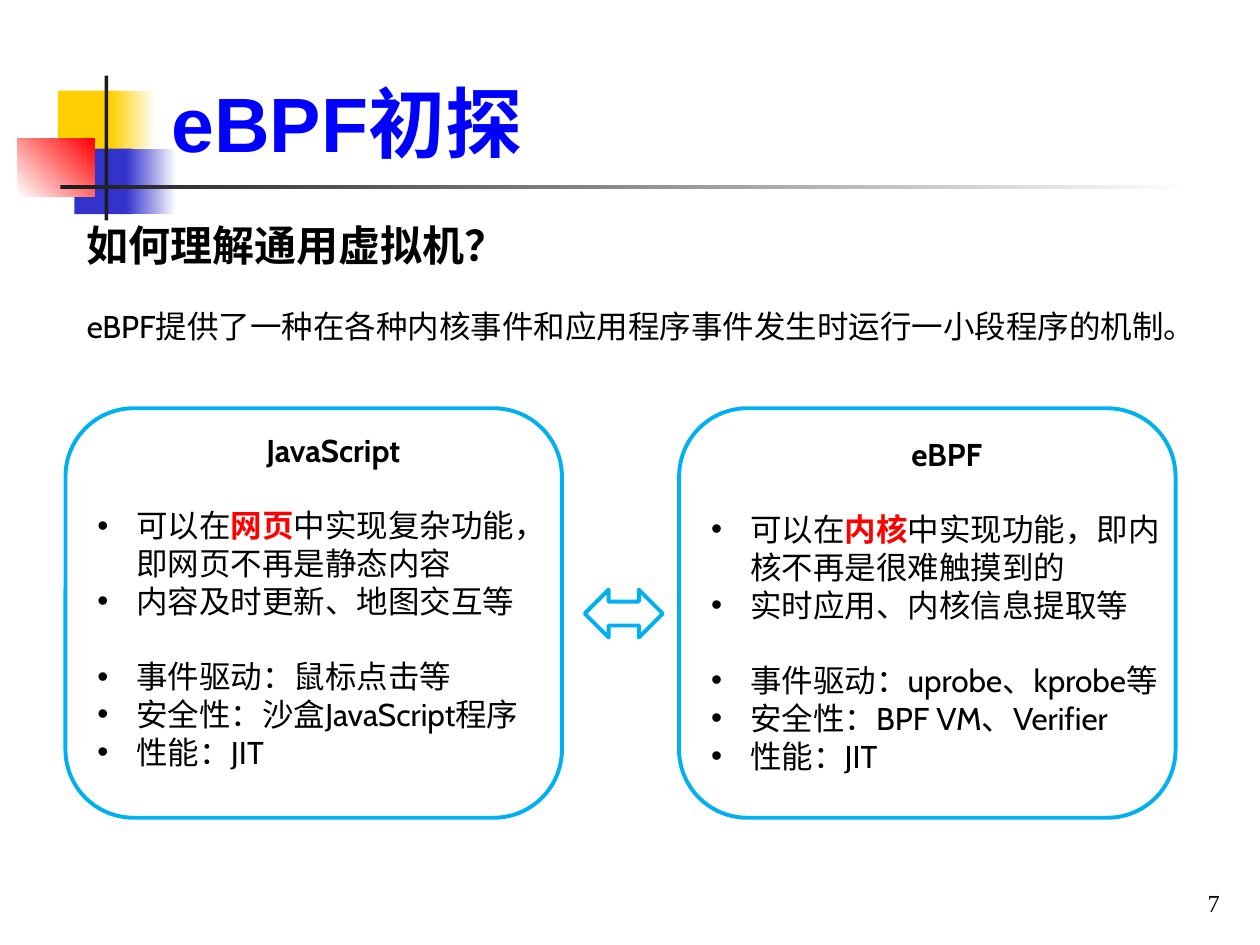
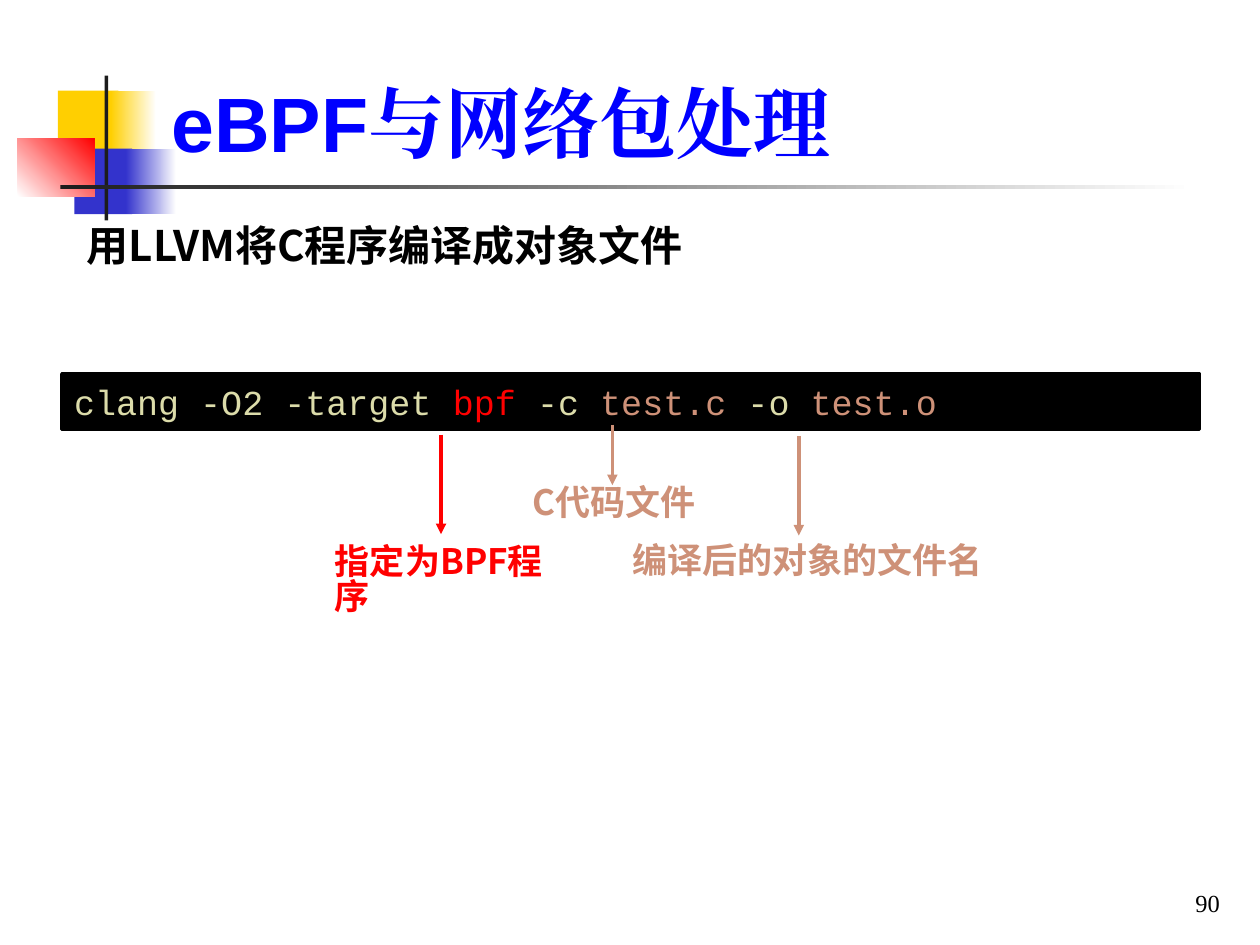
"""Builds two eBPF lecture slides on a shared title-only layout."""
from dataclasses import dataclass

from pptx import Presentation
from pptx.dml.color import RGBColor
from pptx.enum.shapes import MSO_CONNECTOR, MSO_SHAPE
from pptx.enum.text import MSO_ANCHOR, MSO_AUTO_SIZE, PP_ALIGN
from pptx.oxml.ns import qn
from pptx.oxml.xmlchemy import OxmlElement
from pptx.util import Emu, Inches, Pt

RECT, ROUNDED = MSO_SHAPE.RECTANGLE, MSO_SHAPE.ROUNDED_RECTANGLE
DOUBLE_ARROW, STRAIGHT = MSO_SHAPE.LEFT_RIGHT_ARROW, MSO_CONNECTOR.STRAIGHT
TOP, BOTTOM = MSO_ANCHOR.TOP, MSO_ANCHOR.BOTTOM
LEFT, CENTER, RIGHT = PP_ALIGN.LEFT, PP_ALIGN.CENTER, PP_ALIGN.RIGHT
NO_AUTOFIT = MSO_AUTO_SIZE.NONE
COLUMNS, ROWS = 100, 75
CELL = Inches(10) // COLUMNS


@dataclass(frozen=True)
class Style:
    """Font, size, colour and weight of a span."""
    font: str
    size: int
    color: str
    bold: bool = False


@dataclass(frozen=True)
class Theme:
    """Colours and type sizes of the deck."""
    black: str = "000000"
    white: str = "FFFFFF"
    yellow: str = "FFCF01"
    indigo: str = "3333CC"
    red: str = "FF0000"
    ink: str = "1C1C1C"
    sky: str = "00B0F0"
    title: Style = Style("Arial", 44, "0000FF", True)
    title_cjk: Style = Style("Times New Roman", 44, "0000FF", True)
    heading: Style = Style("Noto Sans CJK SC", 24, "000000", True)
    body: Style = Style("Cabin", 18, "000000")
    strong: Style = Style("Cabin", 18, "000000", True)
    accent: Style = Style("Cabin", 18, "FF0000", True)
    number: Style = Style("Times New Roman", 14, "000000")
    command: Style = Style("Courier New", 20, "DCDCAA")
    target: Style = Style("Courier New", 20, "FF0000")
    file: Style = Style("Courier New", 20, "CE9178")
    target_note: Style = Style("Noto Sans CJK SC", 20, "FF0000", True)
    file_note: Style = Style("Noto Sans CJK SC", 20, "CE9178", True)
    outline: float = 2.25
    stroke: float = 2
    card_gap: float = 21.5
    cjk_spacing: float = 0.83


THEME = Theme()

ORNAMENT = [
    ((4.6, 7.2, 4.8, 5.2), (THEME.yellow,), 0),
    ((8.8, 7.2, 3.6, 5.2), (THEME.yellow, THEME.white), 0),
    ((5.9, 11.8, 4.6, 5.2), (THEME.indigo,), 0),
    ((10, 11.8, 4, 5.2), (THEME.indigo, THEME.white), 0),
    ((1.4, 11, 6.1, 4.6), (THEME.white, THEME.red), 45),
    ((8.3, 6, 0.3, 11.5), (THEME.ink,), 0),
    ((4.8, 14.7, 90, 0.3), (THEME.ink, THEME.white), 0),
]
TITLE_AREA = (12.6, 2.3, 85.2, 11.5)
NUMBER_AREA = (77, 68.3, 20.8, 5)
HEADING_AREA = (5.9, 17.3, 75, 5)
INTRO_AREA = (5.9, 23.9, 91.9, 4)

INTRO = {
    "title": [("eBPF初探", THEME.title)],
    "heading": "如何理解通用虚拟机？",
    "number": "7",
    "lead": "eBPF提供了一种在各种内核事件和应用程序事件发生时运行一小段程序的机制。",
}
CARDS = [
    {"name": "JavaScript", "text_top": 33.7, "groups": [
        [[("可以在", THEME.body), ("网页", THEME.accent),
          ("中实现复杂功能，即网页不再是静态内容", THEME.body)],
         [("内容及时更新、地图交互等", THEME.body)]],
        [[("事件驱动：鼠标点击等", THEME.body)],
         [("安全性：沙盒JavaScript程序", THEME.body)],
         [("性能：JIT", THEME.body)]]]},
    {"name": "eBPF", "text_top": 34, "groups": [
        [[("可以在", THEME.body), ("内核", THEME.accent),
          ("中实现功能，即内核不再是很难触摸到的", THEME.body)],
         [("实时应用、内核信息提取等", THEME.body)]],
        [[("事件驱动：uprobe、kprobe等", THEME.body)],
         [("安全性：BPF VM、Verifier", THEME.body)],
         [("性能：JIT", THEME.body)]]]},
]
CARD_LEFT, CARD_TOP, CARD_STEP = 5.2, 32.4, 48.7
CARD_WIDTH, CARD_HEIGHT, CARD_INSET = 39.4, 32.5, 1.55
SWAP_AREA = (46.4, 46.8, 6.2, 3.8)

COMPILE = {
    "title": [("eBPF", THEME.title), ("与网络包处理", THEME.title_cjk)],
    "heading": "用LLVM将C程序编译成对象文件",
    "number": "90",
}
COMMAND_AREA = (4.9, 29.7, 90.3, 4.4)
COMMAND = [
    ("clang -O2 -target ", THEME.command), ("bpf", THEME.target),
    (" -c ", THEME.command), ("test.c", THEME.file),
    (" -o ", THEME.command), ("test.o", THEME.file),
]
NOTES = [
    ("C代码文件", THEME.file_note, (48.6, 33.7, 38.5), (41.3, 37.9, 16.5, 4.4)),
    ("编译后的对象的文件名", THEME.file_note, (63.4, 34.6, 42.5), (49.2, 42.5, 30.6, 4.4)),
    ("指定为BPF程序", THEME.target_note, (35, 34.5, 42.4), (25.6, 42.6, 20.5, 4.4)),
]


def cells(*lengths):
    """Turn grid lengths into slide lengths."""
    return [Emu(round(length * CELL)) for length in lengths]


def rgb(color):
    """Read a hex colour."""
    return RGBColor.from_string(color)


def add_spans(para, spans):
    """Add styled runs to a paragraph."""
    for text, style in spans:
        span = para.add_run()
        span.text = text
        span.font.name, span.font.size = style.font, Pt(style.size)
        span.font.bold = style.bold
        span.font.color.rgb = rgb(style.color)
        east_asian = OxmlElement("a:ea")
        east_asian.set("typeface", style.font)
        span.font._element.find(qn("a:latin")).addnext(east_asian)


def add_text(page, area, spans, align=LEFT, anchor=TOP):
    """Add a wrapping text box with one paragraph."""
    frame = page.shapes.add_textbox(*cells(*area)).text_frame
    frame.word_wrap, frame.vertical_anchor = True, anchor
    frame.paragraphs[0].alignment = align
    add_spans(frame.paragraphs[0], spans)
    return frame


def add_cjk_text(page, area, text, style):
    """Add a text box with tightened line spacing."""
    frame = add_text(page, area, [(text, style)])
    frame.margin_top = Inches(0.08)
    frame.paragraphs[0].line_spacing = THEME.cjk_spacing


def add_figure(page, kind, area, fills=(), angle=0, line=None, width=0):
    """Add a preset shape with no, solid or gradient fill."""
    figure = page.shapes.add_shape(kind, *cells(*area))
    figure.shadow.inherit = False
    if len(fills) == 2:
        figure.fill.gradient()
        figure.fill.gradient_angle = angle
        for stop, color in zip(figure.fill.gradient_stops, fills):
            stop.color.rgb = rgb(color)
    elif fills:
        figure.fill.solid()
        figure.fill.fore_color.rgb = rgb(fills[0])
    else:
        figure.fill.background()
    if line:
        figure.line.color.rgb, figure.line.width = rgb(line), Pt(width)
    else:
        figure.line.fill.background()
    return figure


def add_arrow(page, column, start, end, color):
    """Add a downward arrow."""
    left, top, bottom = cells(column, start, end)
    arrow = page.shapes.add_connector(STRAIGHT, left, top, left, bottom)
    arrow.line.color.rgb, arrow.line.width = rgb(color), Pt(THEME.stroke)
    head = OxmlElement("a:tailEnd")
    head.set("type", "triangle")
    properties = arrow.element.spPr
    properties.find(qn("a:ln")).append(head)
    properties.append(OxmlElement("a:effectLst"))


def add_bullet(para):
    """Give a paragraph a hanging bullet."""
    properties = para._p.get_or_add_pPr()
    properties.set("marL", str(Inches(0.31)))
    properties.set("indent", str(-Inches(0.31)))
    for tag, key, value in (("a:buFont", "typeface", "Arial"), ("a:buChar", "char", "•")):
        mark = OxmlElement(tag)
        mark.set(key, value)
        properties.append(mark)


def decorate_layout(layout, page):
    """Draw the ornament once and hand it to the layout."""
    tree = layout.shapes.element
    for index, (area, fills, angle) in enumerate(ORNAMENT):
        mark = add_figure(page, RECT, area, fills, angle).element
        mark.nvSpPr.cNvPr.set("id", str(100 + index))
        tree.insert(2 + index, mark)


def start_page(page, content):
    """Fill in title, heading and page number."""
    title = page.shapes.title
    title.left, title.top, title.width, title.height = cells(*TITLE_AREA)
    frame = title.text_frame
    frame.word_wrap, frame.auto_size, frame.vertical_anchor = True, NO_AUTOFIT, BOTTOM
    frame.paragraphs[0].alignment = LEFT
    add_spans(frame.paragraphs[0], content["title"])
    add_cjk_text(page, HEADING_AREA, content["heading"], THEME.heading)
    add_text(page, NUMBER_AREA, [(content["number"], THEME.number)], RIGHT, BOTTOM)


def add_card(page, index, card):
    """Add one outlined comparison card."""
    left = CARD_LEFT + index * CARD_STEP
    area = (left + CARD_INSET, card["text_top"], CARD_WIDTH, CARD_HEIGHT)
    frame = add_text(page, area, [(card["name"], THEME.strong)], CENTER)
    for group in card["groups"]:
        for position, spans in enumerate(group):
            para = frame.add_paragraph()
            if position == 0:
                para.space_before = Pt(THEME.card_gap)
            add_bullet(para)
            add_spans(para, spans)
    add_figure(page, ROUNDED, (left, CARD_TOP, CARD_WIDTH, CARD_HEIGHT),
               line=THEME.sky, width=THEME.outline)


def fill_intro(page):
    """Compare the two virtual machines."""
    start_page(page, INTRO)
    add_text(page, INTRO_AREA, [(INTRO["lead"], THEME.body)])
    for index, card in enumerate(CARDS):
        add_card(page, index, card)
    add_figure(page, DOUBLE_ARROW, SWAP_AREA, line=THEME.sky, width=THEME.outline)


def fill_compile(page):
    """Explain the compiler command."""
    start_page(page, COMPILE)
    box = add_figure(page, RECT, COMMAND_AREA, (THEME.black,),
                     line=THEME.black, width=THEME.stroke)
    box.text_frame.word_wrap = True
    box.text_frame.paragraphs[0].alignment = LEFT
    add_spans(box.text_frame.paragraphs[0], COMMAND)
    for text, style, arrow, area in NOTES:
        add_arrow(page, *arrow, style.color)
        add_cjk_text(page, area, text, style)


def main():
    """Build and save the deck."""
    deck = Presentation()
    deck.slide_width, deck.slide_height = cells(COLUMNS, ROWS)
    layout = deck.slide_layouts[5]
    pages = [deck.slides.add_slide(layout) for _ in range(2)]
    decorate_layout(layout, pages[0])
    fill_intro(pages[0])
    fill_compile(pages[1])
    deck.save("out.pptx")


if __name__ == "__main__":
    main()
